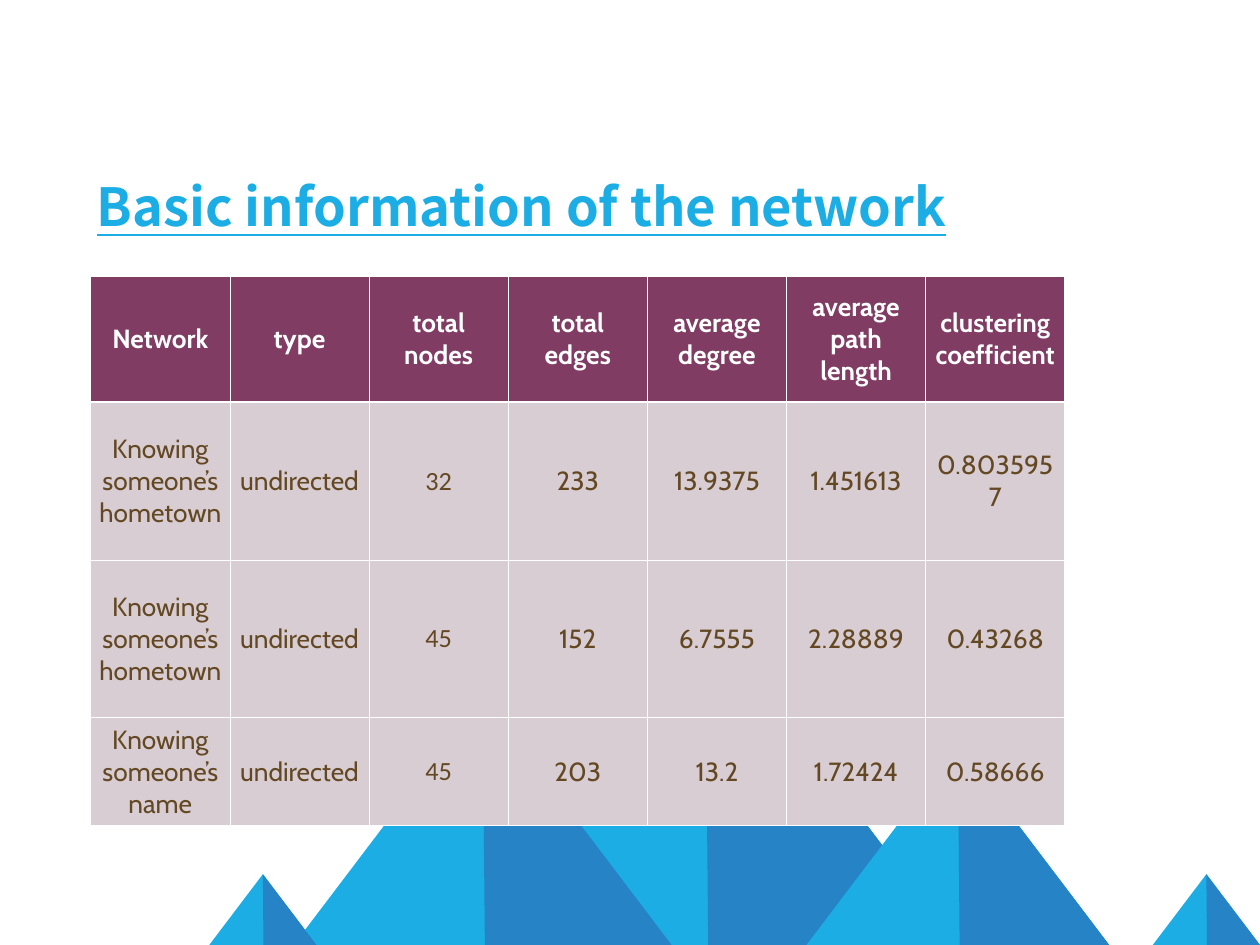
from lxml import etree
from pptx import Presentation
from pptx import util as u
from pptx.dml.color import RGBColor
from pptx.enum import shapes, text
from pptx.oxml import ns

COLORS = {
    "sky": "1CADE4",
    "blue": "2683C6",
    "plum": "803C63",
    "mauve": "D7CDD2",
    "brown": "634823",
    "white": "FFFFFF",
}
MOUNTAINS = [(9.12, 10.19), (16.26, 6.1), (5.92, 7.62), (23.24, 2.16), (4.22, 2.16)]
ROW_HEIGHTS = [2.54, 3.18, 3.18, 1.91]
NETWORKS = [
    ["Network", "type", "total\nnodes", "total edges", "average degree",
     "average path length", "clustering coefficient"],
    ["Knowing someone’s hometown", "undirected", "32", "233", "13.9375", "1.451613", "0.8035957"],
    ["Knowing someone’s hometown", "undirected", "45", "152", "6.7555", "2.28889", "0.43268"],
    ["Knowing someone’s name", "undirected", "45", "203", "13.2", "1.72424", "0.58666"],
]
NODES_COLUMN = 2


def color(name):
    """Return the named colour."""
    return RGBColor.from_string(COLORS[name])


def paint(shape, fill):
    """Give a shape a flat fill without outline or shadow."""
    shape.shadow.inherit = False
    shape.fill.solid()
    shape.fill.fore_color.rgb = color(fill)
    shape.line.fill.background()


def format_font(paragraph, name, size, font_color, bold):
    """Format every run of a paragraph."""
    for run in paragraph.runs:
        run.font.name = name
        run.font.size = u.Pt(size)
        run.font.color.rgb = color(font_color)
        run.font.bold = bold


def add_mountain(slide, left, bottom, width):
    """Draw a mountain with a shaded right face, standing on a base line."""
    height = round(width * 0.66)
    top = bottom - height
    paint(slide.shapes.add_shape(
        shapes.MSO_SHAPE.ISOSCELES_TRIANGLE, left, top, width, height), "sky")
    builder = slide.shapes.build_freeform(left + width // 2, top)
    builder.add_line_segments(
        [(left + round(width * 0.506), bottom), (left + width, bottom)], close=True)
    paint(builder.convert_to_shape(), "blue")


def add_title(slide, left, top, width, height):
    """Place the underlined heading at the bottom of its box."""
    frame = slide.shapes.add_textbox(left, top, width, height).text_frame
    frame.word_wrap = True
    frame.vertical_anchor = text.MSO_ANCHOR.BOTTOM
    frame.text = "Basic information of the network"
    paragraph = frame.paragraphs[0]
    paragraph.line_spacing = 0.9
    format_font(paragraph, "Noto Sans CJK SC", 30, "sky", True)
    paragraph.runs[0].font.underline = True


def add_borders(cell, widths):
    """Draw white borders of the given widths in points."""
    properties = cell._tc.get_or_add_tcPr()
    for index, (side, width) in enumerate(widths.items()):
        line = etree.Element(ns.qn("a:ln" + side), w=str(u.Pt(width)))
        fill = etree.SubElement(line, ns.qn("a:solidFill"))
        etree.SubElement(fill, ns.qn("a:srgbClr"), val=COLORS["white"])
        properties.insert(index, line)


def format_cell(cell, row, column):
    """Style a cell according to its place in the table."""
    header = row == 0
    cell.fill.solid()
    cell.fill.fore_color.rgb = color("plum" if header else "mauve")
    cell.vertical_anchor = text.MSO_ANCHOR.MIDDLE
    cell.margin_left = cell.margin_right = u.Cm(0.15)
    cell.margin_top = cell.margin_bottom = u.Cm(0.13)
    font = "Calibri" if column == NODES_COLUMN and not header else "Cabin"
    for paragraph in cell.text_frame.paragraphs:
        paragraph.alignment = text.PP_ALIGN.CENTER
        format_font(paragraph, font, 15, "white" if header else "brown", header)
    add_borders(cell, {"L": 0.45, "R": 0.45,
                       "T": 1.47 if row == 1 else 0.45,
                       "B": 1.47 if header else 0.45})


def add_network_table(slide, left, top, width, height):
    """Place the table of network measures."""
    table = slide.shapes.add_table(
        len(NETWORKS), len(NETWORKS[0]), left, top, width, height).table
    for column in table.columns:
        column.width = width // len(NETWORKS[0])
    for row, values in enumerate(NETWORKS):
        table.rows[row].height = u.Cm(ROW_HEIGHTS[row])
        for column, value in enumerate(values):
            cell = table.cell(row, column)
            cell.text_frame.text = value
            format_cell(cell, row, column)


def main():
    """Build and save the presentation."""
    presentation = Presentation()
    presentation.slide_width = u.Cm(25.4)
    presentation.slide_height = u.Cm(19.05)
    slide = presentation.slides.add_slide(presentation.slide_layouts[6])
    for left, width in MOUNTAINS:
        add_mountain(slide, u.Cm(left), presentation.slide_height, u.Cm(width))
    add_title(slide, u.Cm(1.7), u.Cm(2.39), u.Cm(20), u.Cm(2.54))
    add_network_table(slide, u.Cm(1.83), u.Cm(5.57), u.Cm(19.64), u.Cm(sum(ROW_HEIGHTS)))
    presentation.save("out.pptx")


if __name__ == "__main__":
    main()
